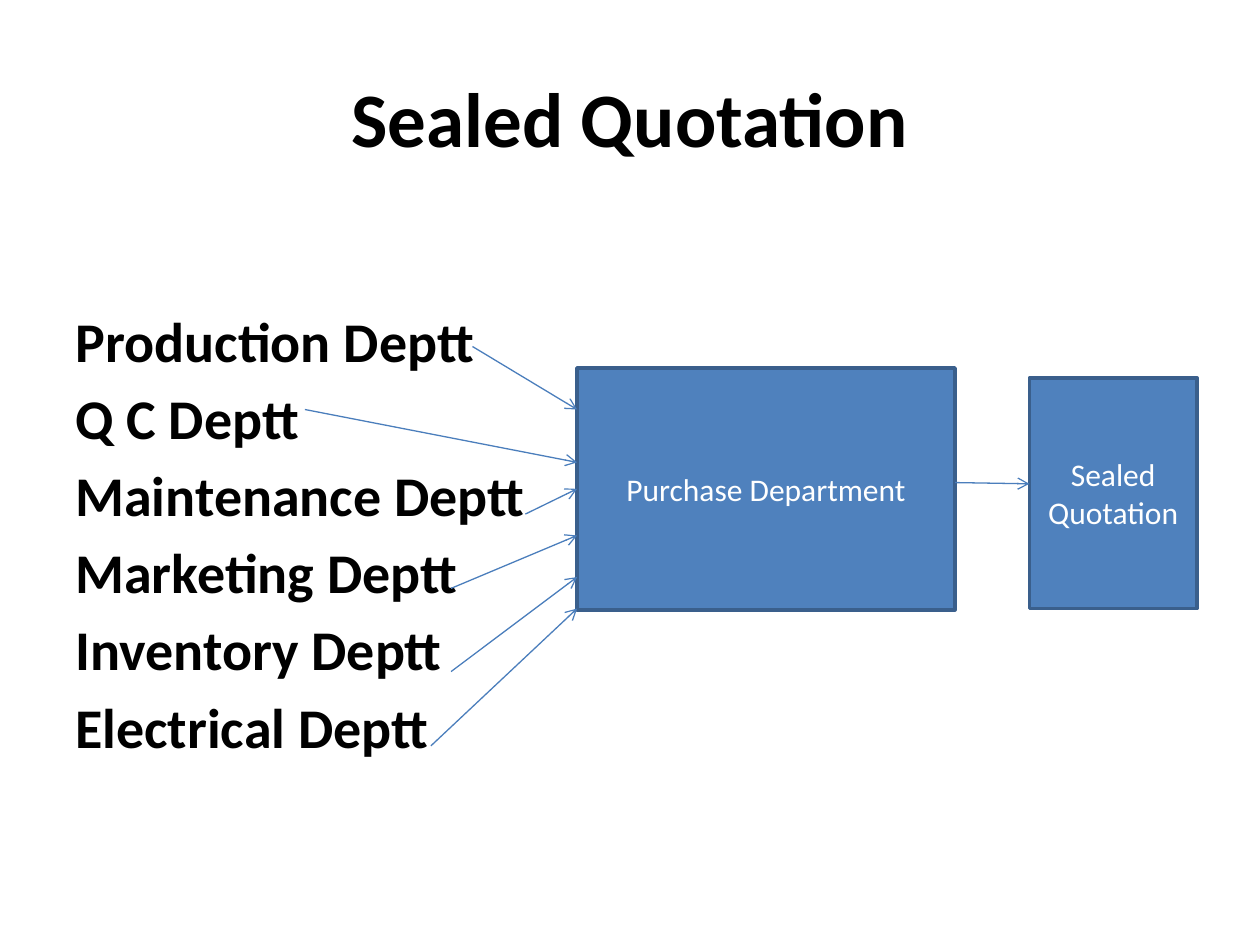
"""Build the Sealed Quotation slide: departments feeding the purchase department."""
from lxml import etree
from pptx import Presentation
from pptx.dml.color import RGBColor
from pptx.enum.shapes import MSO_CONNECTOR, MSO_SHAPE
from pptx.enum.text import MSO_ANCHOR, PP_ALIGN
from pptx.oxml.ns import qn
from pptx.util import Inches, Pt

COLORS = {"text": "000000", "box": "4F81BD", "border": "3A5F8C",
          "arrow": "4B7EBC", "box_text": "FFFFFF"}
FONT = "Calibri"
TITLE = "Sealed Quotation"
PURCHASE_LEFT = 4.58
DEPARTMENTS = [
    ("Production Deptt", (3.75, 2.75), 3.25),
    ("Q C Deptt", (2.42, 3.25), 3.67),
    ("Maintenance Deptt", (4.17, 4.08), 3.88),
    ("Marketing Deptt", (3.58, 4.67), 4.25),
    ("Inventory Deptt", (3.58, 5.33), 4.58),
    ("Electrical Deptt", (3.42, 5.92), 4.83),
]
BOXES = [
    ("Purchase Department", (PURCHASE_LEFT, 2.92, 3, 1.92)),
    ("Sealed Quotation", (8.17, 3, 1.33, 1.83)),
]


def color(name):
    return RGBColor.from_string(COLORS[name])


def write(frame, lines, size, color_name, bold=False, align=PP_ALIGN.LEFT, gap=0):
    frame.word_wrap = True
    for index, line in enumerate(lines):
        paragraph = frame.paragraphs[0] if index == 0 else frame.add_paragraph()
        paragraph.alignment = align
        paragraph.space_before = Pt(gap if index else 0)
        run = paragraph.add_run()
        run.text = line
        run.font.name, run.font.size, run.font.bold = FONT, Pt(size), bold
        run.font.color.rgb = color(color_name)


def add_text(area, anchor, *args, **kwargs):
    frame = slide.shapes.add_textbox(*map(Inches, area)).text_frame
    frame.vertical_anchor = anchor
    frame.margin_top = frame.margin_bottom = 0
    write(frame, *args, **kwargs)


def add_box(label, area):
    box = slide.shapes.add_shape(MSO_SHAPE.RECTANGLE, *map(Inches, area))
    box.shadow.inherit = False
    box.fill.solid()
    box.fill.fore_color.rgb = color("box")
    box.line.color.rgb = color("border")
    box.line.width = Pt(2)
    box.text_frame.vertical_anchor = MSO_ANCHOR.MIDDLE
    write(box.text_frame, [label], 18, "box_text", align=PP_ALIGN.CENTER)


def add_arrow(start, end):
    arrow = slide.shapes.add_connector(
        MSO_CONNECTOR.STRAIGHT, *map(Inches, (*start, *end)))
    arrow.line.color.rgb = color("arrow")
    arrow.line.width = Pt(0.75)
    etree.SubElement(arrow.line._get_or_add_ln(), qn("a:tailEnd"), type="arrow")
    etree.SubElement(arrow._element.spPr, qn("a:effectLst"))


prs = Presentation()
prs.slide_width, prs.slide_height = Inches(10), Inches(7.5)
slide = prs.slides.add_slide(prs.slide_layouts[6])

add_text((0.5, 0.3, 9, 1.25), MSO_ANCHOR.MIDDLE, [TITLE], 44, "text",
         bold=True, align=PP_ALIGN.CENTER)
add_text((0.5, 2.43, 4.08, 4.27), MSO_ANCHOR.TOP,
         [name for name, _, _ in DEPARTMENTS], 32, "text", bold=True, gap=5.7)
for label, area in BOXES:
    add_box(label, area)
add_arrow((7.58, 3.83), (8.17, 3.84))
for _, start, end_y in DEPARTMENTS:
    add_arrow(start, (PURCHASE_LEFT, end_y))

prs.save("out.pptx")
